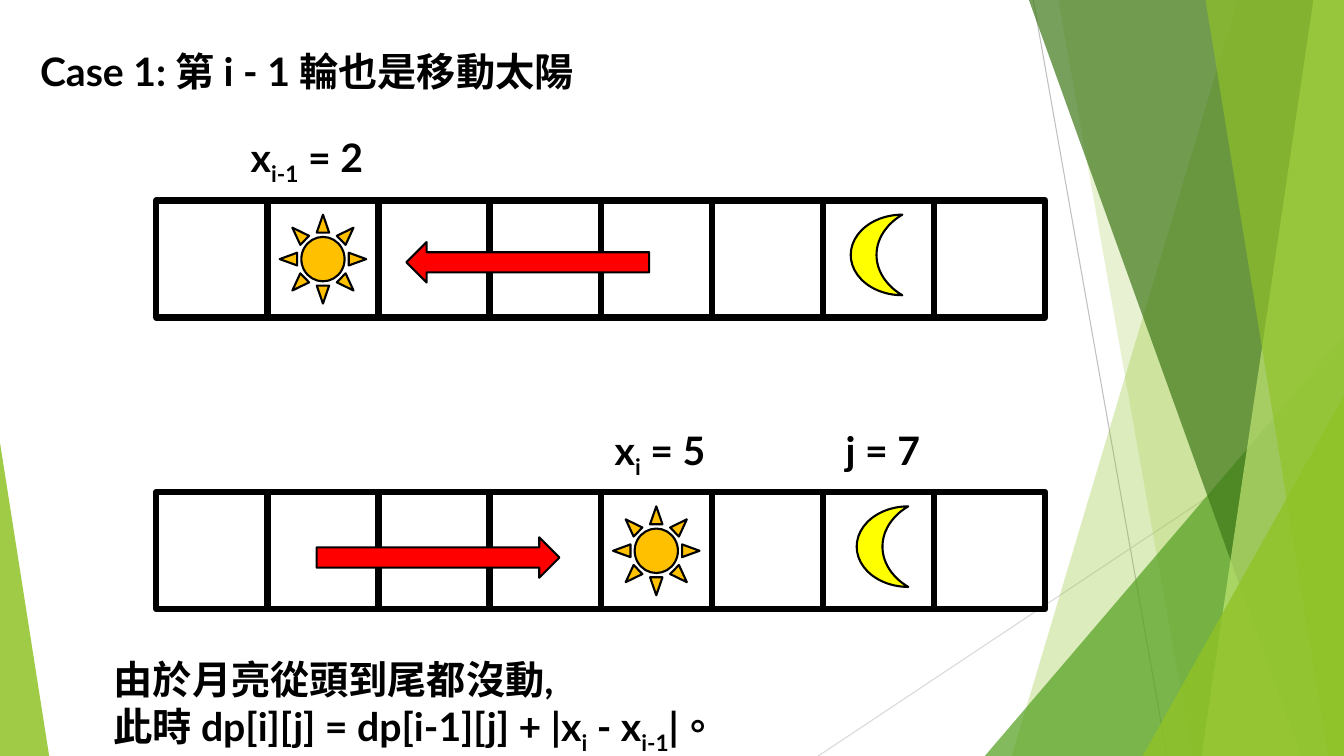
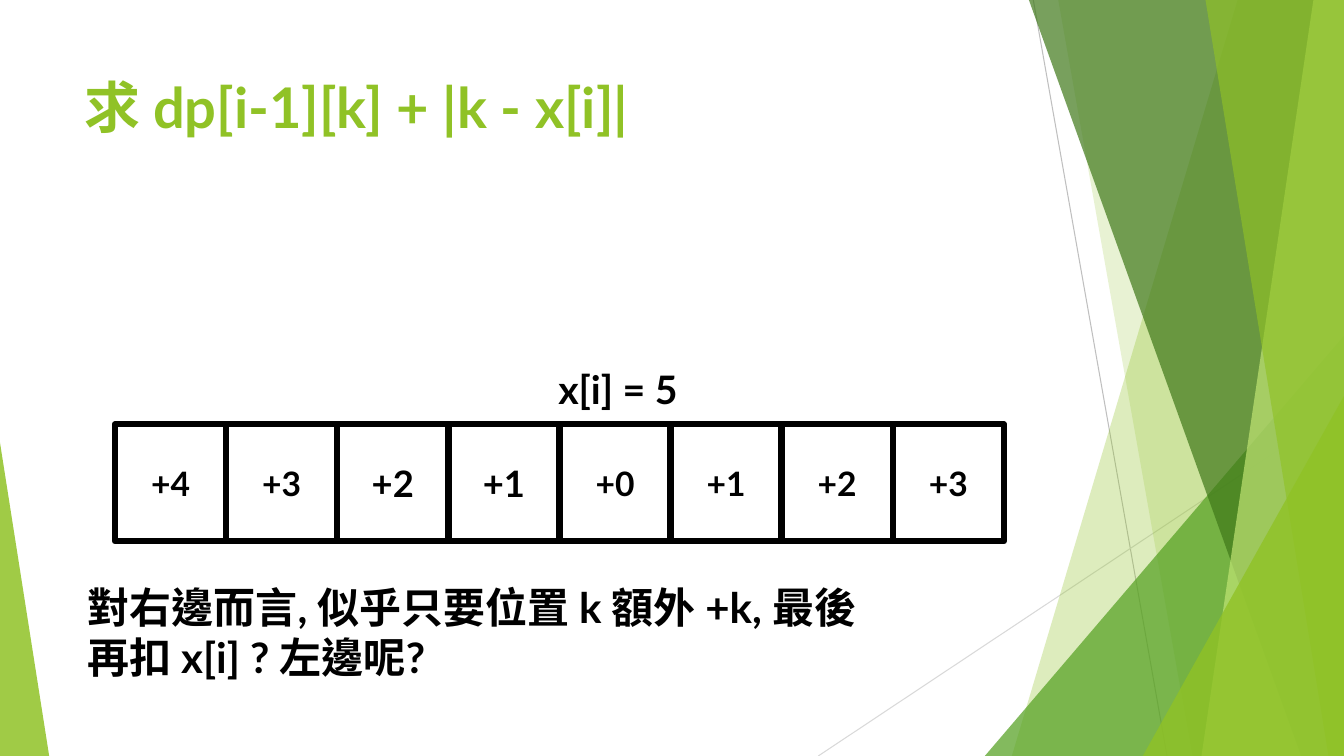
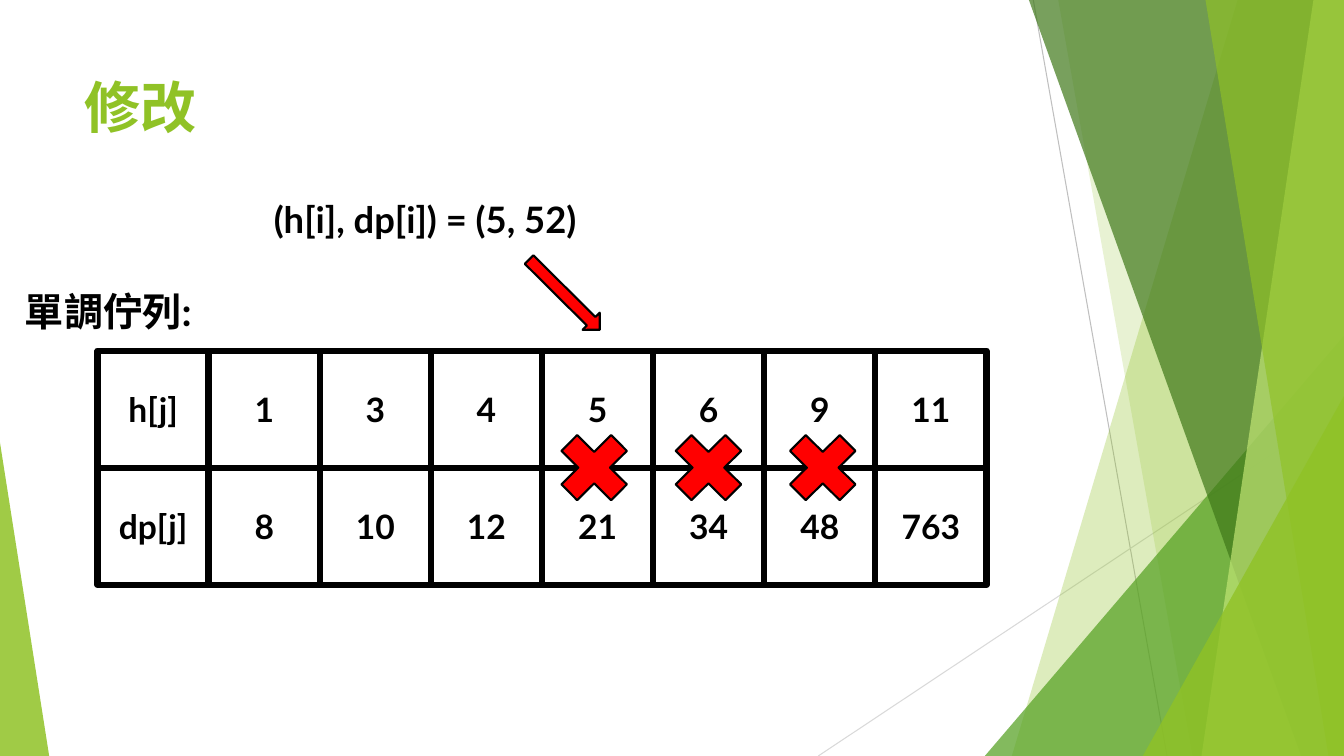
from pptx import Presentation
from pptx.dml.color import RGBColor
from pptx.enum import lang, shapes, text
from pptx.oxml import ns, xmlchemy
from pptx.util import Cm, Pt

BLACK = RGBColor(0x00, 0x00, 0x00)
RED = RGBColor(0xFF, 0x00, 0x00)
SUN_ORANGE = RGBColor(0xFF, 0xC0, 0x00)
MOON_YELLOW = RGBColor(0xFF, 0xFF, 0x00)
LIME = RGBColor(0x90, 0xC2, 0x26)
GREEN = RGBColor(0x54, 0xA0, 0x21)
DARK_GREEN = RGBColor(0x3F, 0x78, 0x19)
PALE_GREEN = RGBColor(0xC0, 0xE4, 0x74)
GREY = RGBColor(0xBF, 0xBF, 0xBF)
LIGHT_GREY = RGBColor(0xD9, 0xD9, 0xD9)

FONT = "Lato"
PAGE_WIDTH, PAGE_HEIGHT = 33.87, 19.05
CELL_WIDTH, CELL_HEIGHT = 2.8, 2.95
PRESET = shapes.MSO_SHAPE


def add_tag(parent, tag, **attributes):
    child = xmlchemy.OxmlElement(tag)
    for name, value in attributes.items():
        child.set(name, value)
    parent.append(child)


def write(frame, content, size=28, color=BLACK, align=text.PP_ALIGN.LEFT,
          anchor=text.MSO_ANCHOR.TOP, wrap=True):
    frame.word_wrap = wrap
    frame.vertical_anchor = anchor
    for row, line in enumerate(content.split("\n")):
        para = frame.paragraphs[0] if row == 0 else frame.add_paragraph()
        para.alignment = align
        for position, part in enumerate(line.split("~")):
            span = para.add_run()
            span.text = part
            font = span.font
            font.name, font.size, font.bold = FONT, Pt(size), True
            font.color.rgb = color
            font.language_id = lang.MSO_LANGUAGE_ID.TRADITIONAL_CHINESE
            if position % 2:
                span._r.get_or_add_rPr().set("baseline", "-25000")


def add_text(page, content, left, top, width, height=1.45, **style):
    box = page.shapes.add_textbox(Cm(left), Cm(top), Cm(width), Cm(height))
    write(box.text_frame, content, **style)


def add_title(page, content):
    add_text(page, content, 1.88, 1.7, 23.88, 3.66, size=40, color=LIME)


def add_figure(page, preset, left, top, width, height, fill=None, line=1.5, turn=0):
    figure = page.shapes.add_shape(preset, Cm(left), Cm(top), Cm(width), Cm(height))
    figure.shadow.inherit = False
    figure.rotation = turn
    figure.line.color.rgb = BLACK
    figure.line.width = Pt(line)
    if fill is None:
        figure.fill.background()
    else:
        figure.fill.solid()
        figure.fill.fore_color.rgb = fill
    return figure


def add_cells(page, left, top, labels, sizes=None):
    for column, label in enumerate(labels):
        cell = add_figure(page, PRESET.RECTANGLE, left + column * CELL_WIDTH, top,
                          CELL_WIDTH, CELL_HEIGHT, line=4.5)
        if label:
            write(cell.text_frame, label, size=sizes[column] if sizes else 24,
                  align=text.PP_ALIGN.CENTER, anchor=text.MSO_ANCHOR.MIDDLE)


def add_sun(page, left, top):
    add_figure(page, PRESET.SUN, left, top, 2.18, 2.24, SUN_ORANGE)


def add_moon(page, left, top):
    add_figure(page, PRESET.MOON, left, top, 1.3, 2.03, MOON_YELLOW)


def add_move(page, left, top, turn=0):
    add_figure(page, PRESET.RIGHT_ARROW, left, top, 6.12, 1.02, RED, turn=turn)


def add_ray(page, start, end, color):
    ray = page.shapes.add_connector(shapes.MSO_CONNECTOR.STRAIGHT,
                                    *(Cm(value) for value in start + end))
    ray.line.color.rgb = color
    ray.line.width = Pt(0.75)
    add_tag(ray.element.spPr, "a:effectLst")


def tint(facet, color, opacity):
    facet.shadow.inherit = False
    facet.line.fill.background()
    facet.fill.solid()
    facet.fill.fore_color.rgb = color
    paint = facet.element.spPr.find(ns.qn("a:solidFill"))[0]
    add_tag(paint, "a:alpha", val=str(opacity * 1000))


def add_band(page, top_x, bottom_x, color, opacity):
    corners = [(PAGE_WIDTH, 0), (PAGE_WIDTH, PAGE_HEIGHT), (bottom_x, PAGE_HEIGHT)]
    outline = page.shapes.build_freeform(Cm(top_x), 0)
    outline.add_line_segments([(Cm(x), Cm(y)) for x, y in corners], close=True)
    tint(outline.convert_to_shape(), color, opacity)


def add_wedge(page, left, top, width, peak, color, opacity):
    wedge = page.shapes.add_shape(PRESET.ISOSCELES_TRIANGLE, Cm(left), Cm(top),
                                  Cm(width), Cm(PAGE_HEIGHT - top))
    wedge.adjustments[0] = peak
    tint(wedge, color, opacity)


def add_backdrop(page, master):
    add_ray(page, (26.04, 0), (29.41, PAGE_HEIGHT), GREY)
    add_ray(page, (PAGE_WIDTH, 10.24), (20.62, PAGE_HEIGHT), LIGHT_GREY)
    add_band(page, 31.19, 25.5, LIME, 30)
    add_band(page, 26.67, 30.05, LIME, 20)
    add_wedge(page, 24.82, 8.46, 9.05, 1, GREEN, 72)
    add_band(page, 25.93, 32.79, DARK_GREEN, 70)
    add_band(page, 33.1, 30.28, PALE_GREEN, 70)
    add_band(page, 30.38, 33.48, LIME, 65)
    add_wedge(page, 28.8, 9.98, 5.07, 1, LIME, 80)
    add_wedge(page, 0, 11.15, 1.24, 0, LIME, 85)
    for number, shape in enumerate(list(page.shapes), 100):
        shape.element.xpath(".//p:cNvPr")[0].set("id", str(number))
        master.shapes.element.append(shape.element)


def fill_case_page(page):
    left, before, after = 3.94, 5.05, 12.4
    for top in (before, after):
        add_cells(page, left, top, [""] * 8)
    for top, column in ((before, 1), (after, 4)):
        add_sun(page, left + column * CELL_WIDTH + 0.31, top + 0.36)
    add_moon(page, 21.44, before + 0.36)
    add_moon(page, 21.59, after + 0.36)
    add_move(page, 10.24, 6.1, turn=180)
    add_move(page, 7.98, 13.54)
    add_text(page, "Case 1: 第 i - 1 輪也是移動太陽", 0.76, 1.07, 22.35)
    add_text(page, "x~i-1~ = 2", 6.07, 3.23, 6.96)
    add_text(page, "x~i~ = 5", 15.24, 10.62, 6.96)
    add_text(page, "j = 7", 18.77, 10.62, 6.96, align=text.PP_ALIGN.CENTER)
    add_text(page, "由於月亮從頭到尾都沒動,\n此時 dp[i][j] = dp[i-1][j] + |x~i~ - x~i-1~|。",
             2.62, 16.38, 24.28, 2.64)


def fill_distance_page(page):
    add_title(page, "求 dp[i-1][k] + |k - x[i]|")
    target = 5
    labels = [f"+{abs(place - target)}" for place in range(1, 9)]
    add_cells(page, 2.9, 10.69, labels, [24, 24, 26, 26, 24, 24, 24, 24])
    add_text(page, f"x[i] = {target}", 13.82, 9.07, 6.96)
    add_text(page, "對右邊而言, 似乎只要位置 k 額外 +k, 最後再扣 x[i] ? 左邊呢?",
             1.96, 14.53, 20.88, 2.82, size=30)


def fill_queue_page(page):
    add_title(page, "修改")
    add_text(page, "(h[i], dp[i]) = (5, 52)", 6.65, 4.85, 9.5, 1.37, size=26, wrap=False)
    add_text(page, "單調佇列:", 0.38, 7.11, 4.88, wrap=False)
    rows = (["h[j]", "1", "3", "4", "5", "6", "9", "11"],
            ["dp[j]", "8", "10", "12", "21", "34", "48", "763"])
    for row, labels in enumerate(rows):
        add_cells(page, 2.46, 8.84 + row * CELL_HEIGHT, labels)
    add_figure(page, PRESET.DOWN_ARROW, 13.92, 6.17, 0.61, 2.51, RED, turn=314.8)
    for cross in range(3):
        add_figure(page, PRESET.MATH_MULTIPLY, 13.77 + cross * 2.88, 10.59, 2.41, 2.39, RED)


def main():
    deck = Presentation()
    deck.slide_width, deck.slide_height = Cm(PAGE_WIDTH), Cm(PAGE_HEIGHT)
    pages = [deck.slides.add_slide(deck.slide_layouts[6]) for _ in range(3)]
    add_backdrop(pages[0], deck.slide_master)
    for page, fill_page in zip(pages, (fill_case_page, fill_distance_page, fill_queue_page)):
        fill_page(page)
    deck.save("out.pptx")


if __name__ == "__main__":
    main()
